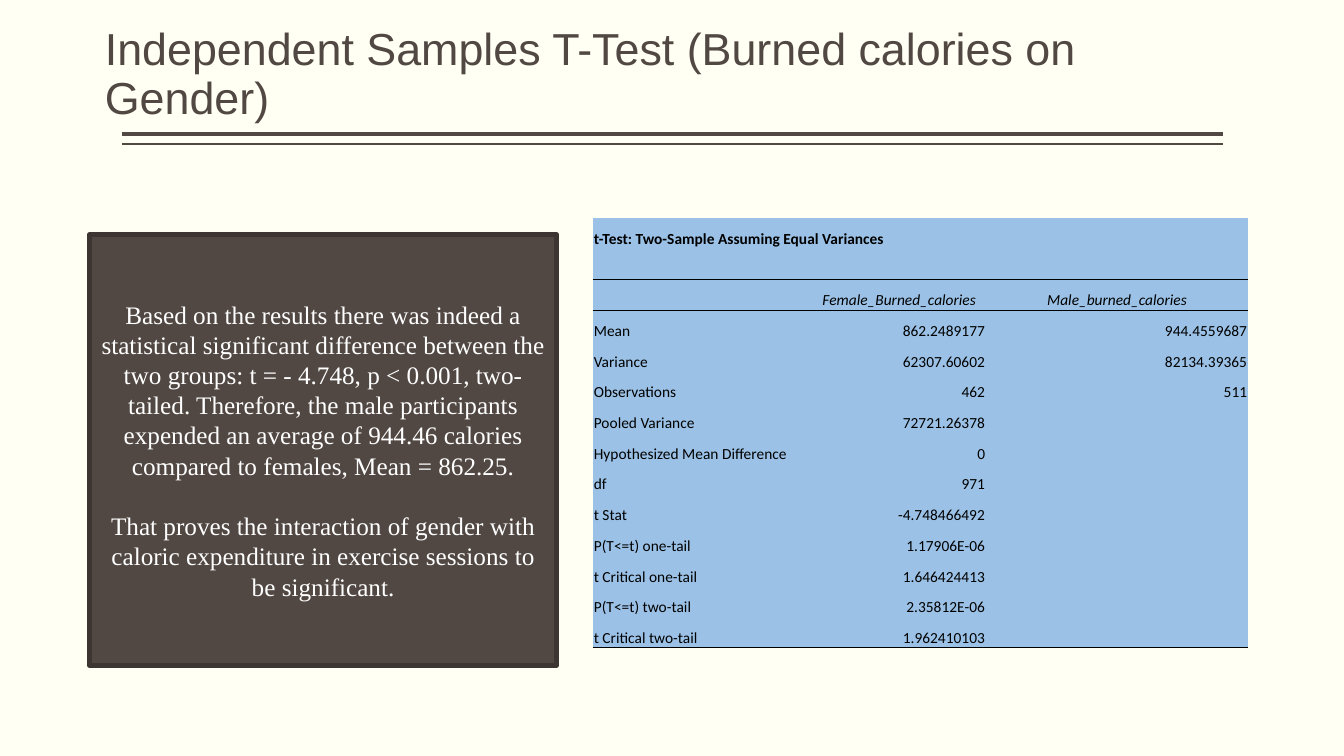
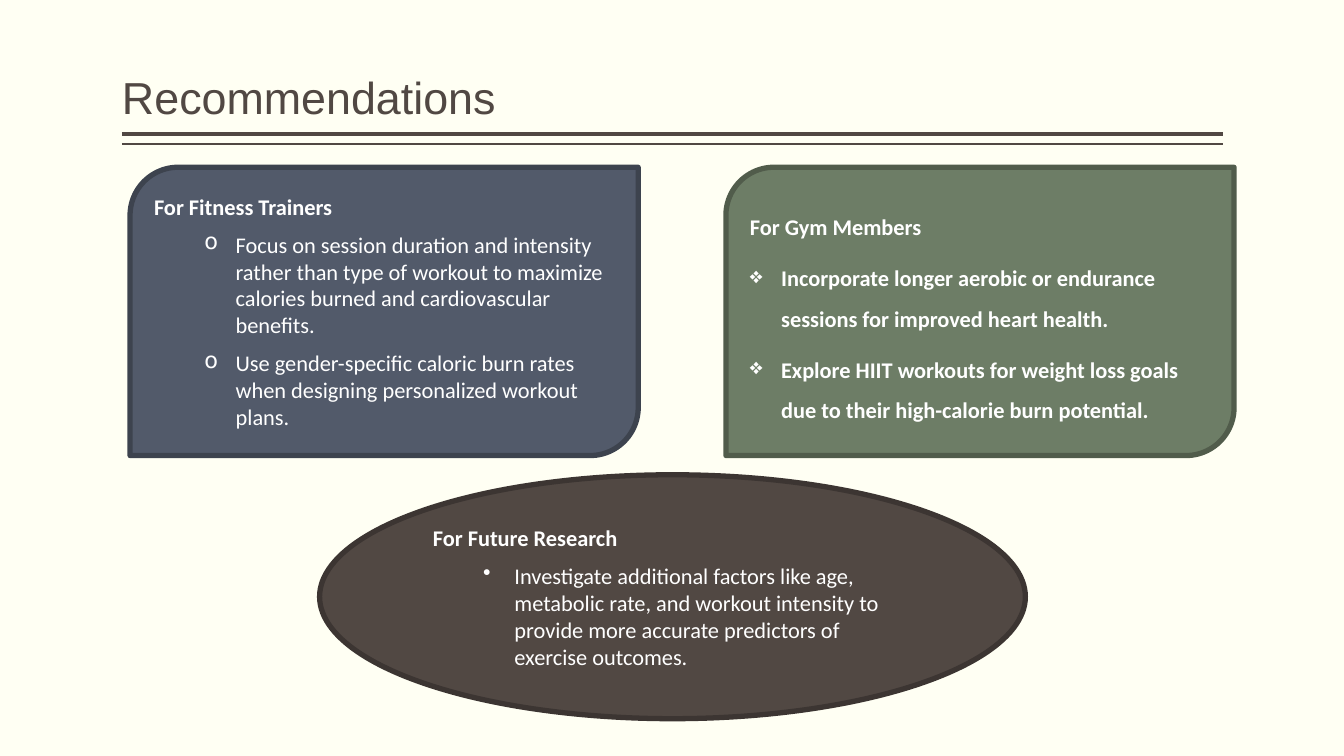
import pptx
import pptx.util
import pptx.dml.color
import pptx.enum.shapes
import pptx.enum.text
import pptx.oxml
import pptx.oxml.ns
from lxml import etree

Inches = pptx.util.Inches
Pt = pptx.util.Pt
ALIGN = pptx.enum.text.PP_ALIGN
ANCHOR = pptx.enum.text.MSO_ANCHOR
SHAPES = pptx.enum.shapes.MSO_SHAPE
qn = pptx.oxml.ns.qn

COLOURS = {
    "background": "FFFFF3", "brown": "514843", "brown_edge": "3C3532",
    "slate": "525A6A", "slate_edge": "3D434E", "green": "6D7D66",
    "green_edge": "515C4B", "table": "9BC2E6", "black": "000000", "white": "FFFFFF",
}
NO_TABLE_STYLE = "{2D5ABB26-0587-4C30-8999-92F81FD0307C}"
TABLE_ROWS = [
    ("t-Test: Two-Sample Assuming Equal Variances", "", ""),
    ("", "", ""),
    ("", "Female_Burned_calories", "Male_burned_calories"),
    ("Mean", "862.2489177", "944.4559687"),
    ("Variance", "62307.60602", "82134.39365"),
    ("Observations", "462", "511"),
    ("Pooled Variance", "72721.26378", ""),
    ("Hypothesized Mean Difference", "0", ""),
    ("df", "971", ""),
    ("t Stat", "-4.748466492", ""),
    ("P(T<=t) one-tail", "1.17906E-06", ""),
    ("t Critical one-tail", "1.646424413", ""),
    ("P(T<=t) two-tail", "2.35812E-06", ""),
    ("t Critical two-tail", "1.962410103", ""),
]
TITLE_ROW, HEADING_ROW = 0, 2
RULE_WIDTHS = {1: 1, 2: 0.5, len(TABLE_ROWS) - 1: 1}
FINDINGS = [
    "Based on the results there was indeed a statistical significant difference between "
    "the two groups: t = - 4.748, p < 0.001, two-tailed. Therefore, the male participants "
    "expended an average of 944.46 calories compared to females, Mean = 862.25.",
    "That proves the interaction of gender with caloric expenditure in exercise sessions "
    "to be significant.",
]


def colour(name):
    """Return the named colour of the palette."""
    return pptx.dml.color.RGBColor.from_string(COLOURS[name])


def style_font(paragraph, family, size, colour_name, bold=False, italic=False):
    """Set the font of a whole paragraph."""
    font = paragraph.font
    font.name, font.size, font.bold, font.italic = family, Pt(size), bold, italic
    font.color.rgb = colour(colour_name)


def add_rule(slide, left, right, top, width):
    """Draw a horizontal rule without a shadow."""
    rule = slide.shapes.add_connector(
        pptx.enum.shapes.MSO_CONNECTOR.STRAIGHT,
        Inches(left), Inches(top), Inches(right), Inches(top))
    rule.line.color.rgb = colour("brown")
    rule.line.width = Pt(width)
    etree.SubElement(rule.element.spPr, qn("a:effectLst"))


def add_titled_slide(presentation, title, left, width):
    """Add a blank slide with its title above the double rule."""
    slide = presentation.slides.add_slide(presentation.slide_layouts[6])
    add_rule(slide, 1.21, 12.13, 1.33, 3)
    add_rule(slide, 1.21, 12.13, 1.43, 1)
    box = slide.shapes.add_textbox(Inches(left), Inches(0.08), Inches(width), Inches(1.2))
    frame = box.text_frame
    frame.word_wrap = True
    frame.vertical_anchor = ANCHOR.BOTTOM
    frame.margin_left = frame.margin_right = 0
    paragraph = frame.paragraphs[0]
    paragraph.text = title
    paragraph.line_spacing = 0.9
    style_font(paragraph, "Arial", 32, "brown")
    return slide


def add_panel(slide, box, kind, fill):
    """Add a filled, outlined shape and return its text frame."""
    shape = slide.shapes.add_shape(kind, *map(Inches, box))
    shape.shadow.inherit = False
    shape.fill.solid()
    shape.fill.fore_color.rgb = colour(fill)
    shape.line.color.rgb = colour(fill + "_edge")
    shape.line.width = Pt(3.78)
    frame = shape.text_frame
    frame.word_wrap = True
    frame.vertical_anchor = ANCHOR.MIDDLE
    return frame


def write_paragraphs(frame, texts):
    """Fill a text frame with one paragraph per text and return them."""
    while len(frame.paragraphs) < len(texts):
        frame.add_paragraph()
    for paragraph, text in zip(frame.paragraphs, texts):
        paragraph.text = text
    return frame.paragraphs


def add_findings(slide, box):
    """Add the panel that interprets the test."""
    frame = add_panel(slide, box, SHAPES.RECTANGLE, "brown")
    paragraphs = write_paragraphs(frame, FINDINGS)
    for paragraph in paragraphs:
        paragraph.alignment = ALIGN.CENTER
        style_font(paragraph, "Times New Roman", 18, "white")
    paragraphs[-1].space_before = Pt(21.6)


def set_bullet(paragraph, symbol, indent):
    """Give a paragraph a bullet with a hanging indent."""
    properties = paragraph._p.get_or_add_pPr()
    properties.set("marL", str(Inches(indent)))
    properties.set("indent", str(Inches(-0.31)))
    bullet = etree.Element(qn("a:buChar"), char=symbol)
    properties.find(qn("a:defRPr")).addprevious(bullet)


def add_advice(slide, box, kind, fill, heading, items, symbol, indent=0.81,
               bold_items=False, line_spacing=1.0):
    """Add a panel with a bold heading and bulleted advice."""
    frame = add_panel(slide, box, kind, fill)
    for index, paragraph in enumerate(write_paragraphs(frame, [heading, *items])):
        paragraph.alignment = ALIGN.LEFT
        paragraph.line_spacing = line_spacing
        paragraph.space_after = Pt(8)
        style_font(paragraph, "Calibri", 16, "white", bold=index == 0 or bold_items)
        if index:
            set_bullet(paragraph, symbol, indent)


def set_bottom_border(cell, width):
    """Draw a black line below a table cell."""
    border = etree.Element(qn("a:lnB"), w=str(Pt(width)))
    fill = etree.SubElement(border, qn("a:solidFill"))
    etree.SubElement(fill, qn("a:srgbClr"), val=COLOURS["black"])
    cell._tc.get_or_add_tcPr().insert(0, border)


def fill_cell(cell, text, row, column):
    """Write and style one cell of the test table."""
    cell.margin_left = cell.margin_right = cell.margin_top = Inches(0.01)
    cell.margin_bottom = 0
    cell.vertical_anchor = ANCHOR.BOTTOM
    cell.fill.solid()
    cell.fill.fore_color.rgb = colour("table")
    paragraph = cell.text_frame.paragraphs[0]
    paragraph.text = text
    value_alignment = ALIGN.CENTER if row == HEADING_ROW else ALIGN.RIGHT
    paragraph.alignment = value_alignment if column else ALIGN.LEFT
    style_font(paragraph, "Calibri", 11, "black",
               bold=row == TITLE_ROW, italic=row == HEADING_ROW)
    if row in RULE_WIDTHS:
        set_bottom_border(cell, RULE_WIDTHS[row])


def add_test_table(slide, box):
    """Add the table of t-test results."""
    frame = slide.shapes.add_table(len(TABLE_ROWS), 3, *map(Inches, box))
    table = frame.table
    table.first_row = table.horz_banding = False
    table._tbl.tblPr.find(qn("a:tableStyleId")).text = NO_TABLE_STYLE
    for column, width in zip(table.columns, (2.18, 1.72, 2.6)):
        column.width = Inches(width)
    for row, texts in enumerate(TABLE_ROWS):
        for column, text in enumerate(texts):
            fill_cell(table.cell(row, column), text, row, column)
    table.cell(TITLE_ROW, 0).merge(table.cell(TITLE_ROW, 1))


def build_test_slide(presentation):
    """Build the slide on the t-test."""
    slide = add_titled_slide(
        presentation, "Independent Samples T-Test (Burned calories on Gender)", 1.04, 11.22)
    add_test_table(slide, (5.88, 2.16, 6.5, 4.27))
    add_findings(slide, (0.89, 2.33, 4.63, 4.27))


def build_recommendations_slide(presentation):
    """Build the slide of recommendations."""
    slide = add_titled_slide(presentation, "Recommendations", 1.21, 10.92)
    leaf = SHAPES.ROUND_2_DIAG_RECTANGLE
    add_advice(slide, (1.29, 1.66, 5.04, 2.86), leaf, "slate", "For Fitness Trainers", [
        "Focus on session duration and intensity rather than type of workout to maximize "
        "calories burned and cardiovascular benefits.",
        "Use gender-specific caloric burn rates when designing personalized workout plans.",
    ], "o")
    add_advice(slide, (7.2, 1.66, 5.04, 2.86), leaf, "green", "For Gym Members", [
        "Incorporate longer aerobic or endurance sessions for improved heart health.",
        "Explore HIIT workouts for weight loss goals due to their high-calorie burn potential.",
    ], "❖", indent=0.31, bold_items=True, line_spacing=1.5)
    add_advice(slide, (3.17, 4.71, 7, 2.42), SHAPES.OVAL, "brown", "For Future Research", [
        "Investigate additional factors like age, metabolic rate, and workout intensity to "
        "provide more accurate predictors of exercise outcomes.",
    ], "•")


def main():
    """Build and save the presentation."""
    presentation = pptx.Presentation()
    presentation.slide_width = Inches(13.33)
    presentation.slide_height = Inches(7.5)
    background = presentation.slide_master.background.fill
    background.solid()
    background.fore_color.rgb = colour("background")
    build_test_slide(presentation)
    build_recommendations_slide(presentation)
    presentation.save("out.pptx")


if __name__ == "__main__":
    main()
